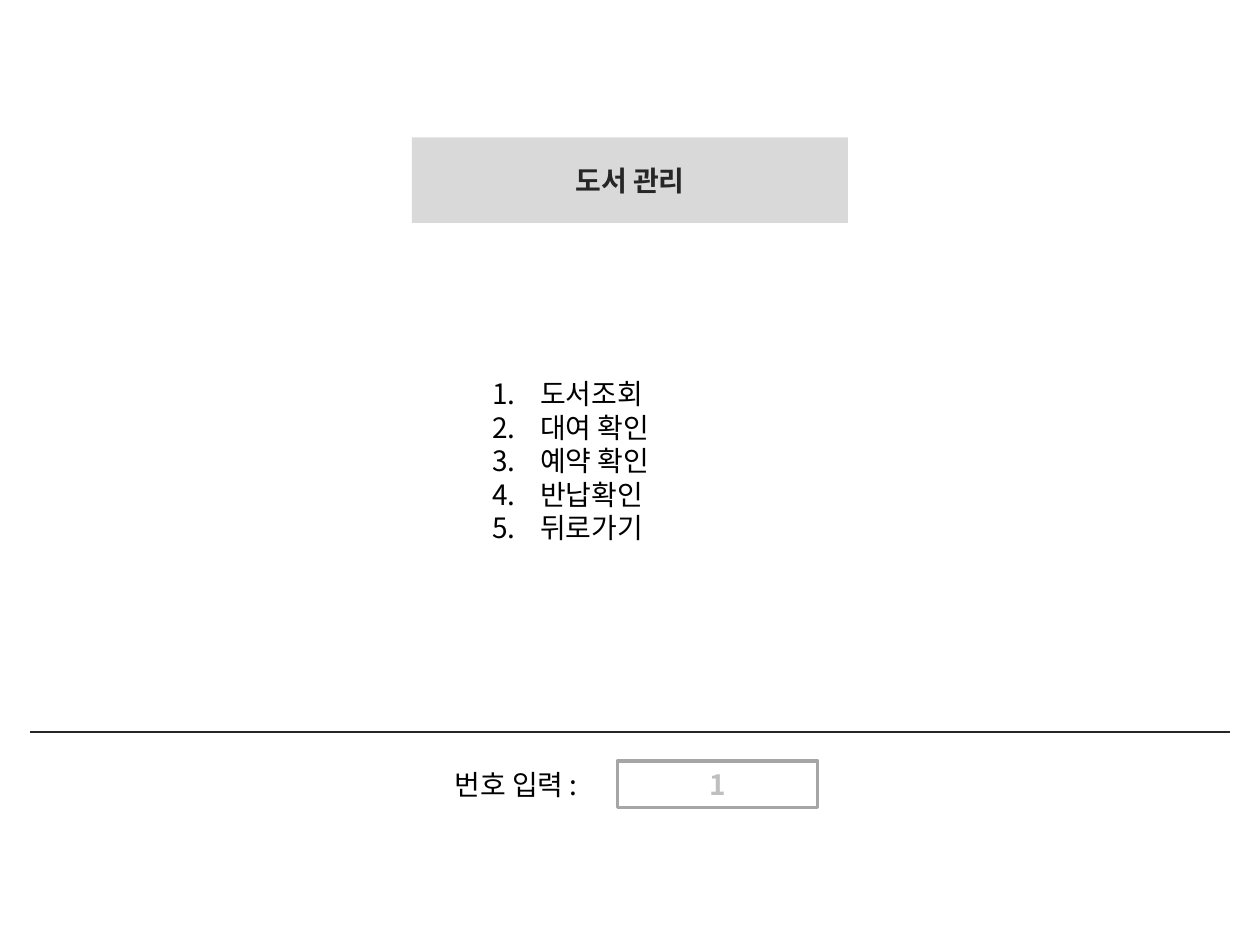
from lxml import etree
from pptx import Presentation
from pptx.dml.color import RGBColor
from pptx.enum.shapes import MSO_CONNECTOR, MSO_SHAPE
from pptx.enum.text import MSO_ANCHOR, MSO_AUTO_SIZE, PP_ALIGN
from pptx.oxml.ns import qn
from pptx.util import Inches, Pt

STRAIGHT = MSO_CONNECTOR.STRAIGHT
RECTANGLE = MSO_SHAPE.RECTANGLE
MIDDLE = MSO_ANCHOR.MIDDLE
CENTER = PP_ALIGN.CENTER
GROW = MSO_AUTO_SIZE.SHAPE_TO_FIT_TEXT

KOREAN = "Noto Sans CJK KR"
COLORS = {
    "text": "000000",
    "dark": "262626",
    "banner": "D9D9D9",
    "field": "FFFFFF",
    "border": "A6A6A6",
    "entry": "BFBFBF",
}


def style_text(paragraph, color, bold=False, latin=KOREAN):
    for run in paragraph.runs:
        run.font.size = Pt(16)
        run.font.bold = bold
        run.font.color.rgb = RGBColor.from_string(COLORS[color])
        run.font.name = latin
        east_asian = etree.SubElement(run.font._element, qn("a:ea"))
        east_asian.set("typeface", KOREAN)


def add_box(shapes, position, text, fill, color, latin=KOREAN):
    box = shapes.add_shape(RECTANGLE, *map(Inches, position))
    box.shadow.inherit = False
    box.fill.solid()
    box.fill.fore_color.rgb = RGBColor.from_string(COLORS[fill])
    box.line.fill.background()
    box.text_frame.text = text
    box.text_frame.vertical_anchor = MIDDLE
    box.text_frame.paragraphs[0].alignment = CENTER
    style_text(box.text_frame.paragraphs[0], color, bold=True, latin=latin)
    return box


prs = Presentation()
prs.slide_width = Inches(10)
prs.slide_height = Inches(7.5)
slide = prs.slides.add_slide(prs.slide_layouts[6])

# Divider above the input row
divider = slide.shapes.add_connector(
    STRAIGHT, Inches(0.24), Inches(5.81), Inches(9.76), Inches(5.81))
divider.line.color.rgb = RGBColor.from_string(COLORS["dark"])
divider.line.width = Pt(0.75)
etree.SubElement(divider._element.spPr, qn("a:effectLst"))

# Numbered menu
menu = slide.shapes.add_textbox(
    Inches(3.81), Inches(2.94), Inches(1.56), Inches(1.45)).text_frame
menu.word_wrap = False
menu.auto_size = GROW
menu.text = "\n".join(["도서조회", "대여 확인", "예약 확인", "반납확인", "뒤로가기"])
for item in menu.paragraphs:
    properties = item._p.get_or_add_pPr()
    properties.set("marL", str(Inches(0.38)))
    properties.set("indent", str(Inches(-0.38)))
    numbering = etree.SubElement(properties, qn("a:buAutoNum"))
    numbering.set("type", "arabicPeriod")
    style_text(item, "text")

# Input row: label and entry field
input_row = slide.shapes.add_group_shape()
prompt = input_row.shapes.add_textbox(
    Inches(3.51), Inches(6.04), Inches(1.39), Inches(0.37)).text_frame
prompt.word_wrap = False
prompt.auto_size = GROW
prompt.text = "번호 입력 :"
style_text(prompt.paragraphs[0], "text")

entry = add_box(input_row.shapes, (4.9, 6.04, 1.59, 0.37), "1", "field", "entry")
entry.line.color.rgb = RGBColor.from_string(COLORS["border"])
entry.line.width = Pt(2)

# Title banner
add_box(slide.shapes, (3.27, 1.09, 3.46, 0.68), "도서 관리", "banner", "dark",
        latin="Arial")

prs.save("out.pptx")
